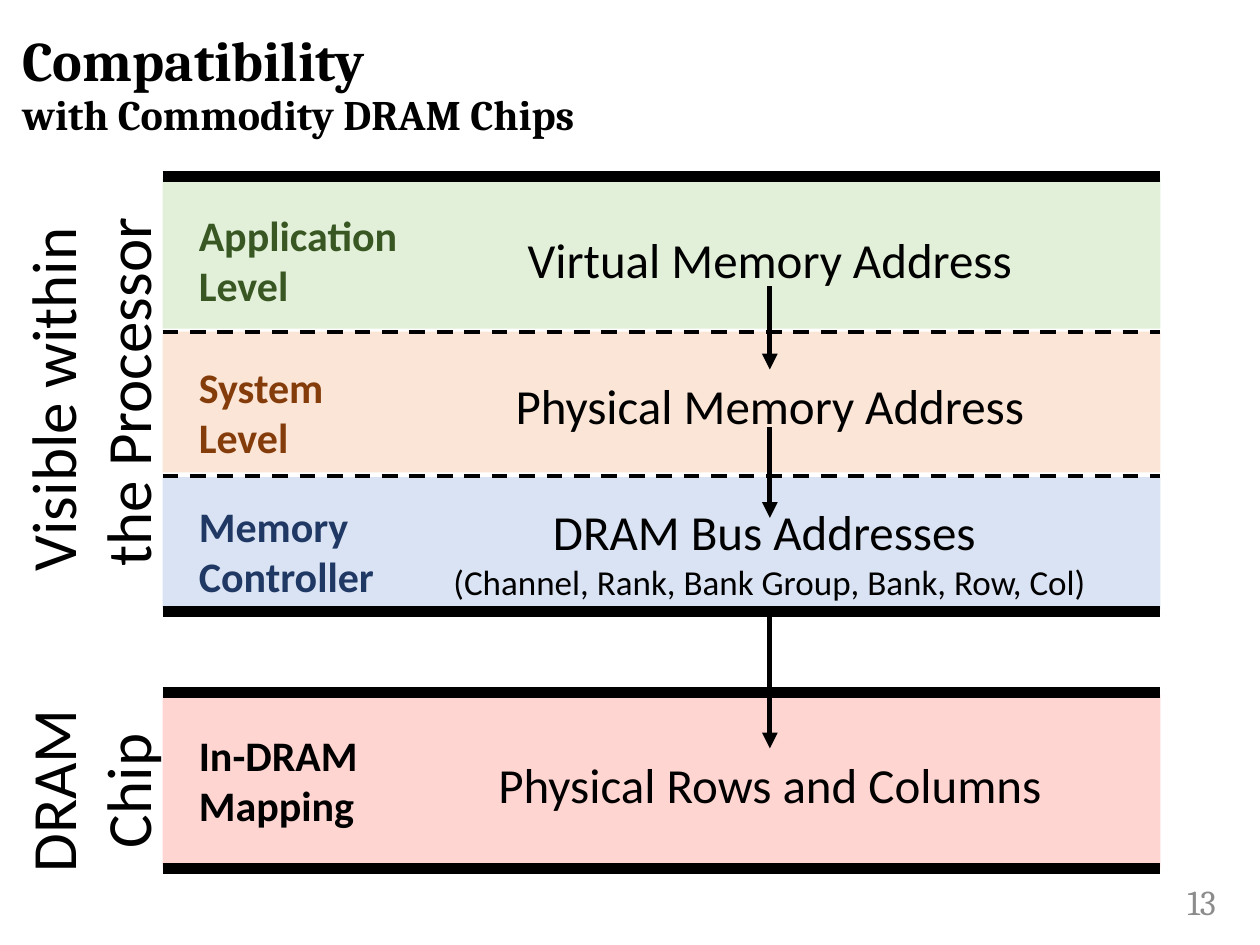
from dataclasses import dataclass

from lxml import etree
from pptx import Presentation
from pptx import util as u
from pptx.dml.color import RGBColor
from pptx.enum import dml, shapes, text
from pptx.oxml import ns


@dataclass(frozen=True)
class Theme:
    heading_font: str = "Cambria"
    body_font: str = "Calibri"
    ink: str = "000000"
    muted: str = "8C8C8C"
    title: int = 32
    subtitle: int = 24
    label: int = 24
    address: int = 28
    detail: int = 20
    side: int = 36
    page: int = 20
    border: float = 6
    divider: float = 2.25
    arrow: float = 3


THEME = Theme()
WIDTH, HEIGHT = u.Inches(10), u.Inches(7.5)

TITLE = ("Compatibility ", "with Commodity DRAM Chips")
PAGE = "13"
LEVELS = [
    dict(label=("Application", "Level"), color="385723", fill="E2F0D9",
         band=(18.8, 16), label_top=21.5,
         address=["Virtual Memory Address"], address_rows=(23.6, 6.7)),
    dict(label=("System", "Level"), color="843C0B", fill="FBE5D6",
         band=(35.1, 14.9), label_top=37.6,
         address=["Physical Memory Address"], address_rows=(39.1, 6.1)),
    dict(label=("Memory", "Controller"), color="203864", fill="DAE3F3",
         band=(50.5, 14), label_top=52.3,
         address=["DRAM Bus Addresses ",
                  "(Channel, Rank, Bank Group, Bank, Row, Col)"],
         address_rows=(52.4, 12.1)),
    dict(label=("In-DRAM", "Mapping"), color=THEME.ink, fill="FFD5D2",
         band=(73.5, 18.4), label_top=76.5,
         address=["Physical Rows and Columns"], address_rows=(79.2, 7.6)),
]
SIDES = [
    (("Visible within ", "the Processor"), 41.5, 34.4),
    (("DRAM", "Chip"), 83.7, 16.2),
]
BORDERS = (18.7, 64.7, 73.3, 91.9)
DIVIDERS = (35.1, 50.4)
BAND_LEFT, BAND_WIDTH = 12.9, 79.2
LABEL_LEFT, LABEL_WIDTH, LABEL_HEIGHT = 14.8, 18, 10.5
ADDRESS_CENTER, ADDRESS_WIDTH = 61.1, 53.6
SIDE_CENTER, SIDE_DEPTH = 7.1, 13.1
CONTROLLER_ARROW_END = 54.8


def across(share):
    return round(WIDTH * share / 100)


def down(share):
    return round(HEIGHT * share / 100)


def frame(left, top, width, height):
    return across(left), down(top), across(width), down(height)


def add_run(paragraph, words, size, color, font, bold):
    run = paragraph.add_run()
    run.text = words
    run.font.size = u.Pt(size)
    run.font.name = font
    run.font.bold = bold
    run.font.color.rgb = RGBColor.from_string(color)


def add_text(slide, box, lines, color=THEME.ink, font=THEME.body_font, bold=False,
             align=text.PP_ALIGN.LEFT, anchor=text.MSO_ANCHOR.TOP):
    shape = slide.shapes.add_textbox(*box)
    text_frame = shape.text_frame
    text_frame.word_wrap = True
    text_frame.vertical_anchor = anchor
    for index, (words, size) in enumerate(lines):
        paragraph = text_frame.add_paragraph() if index else text_frame.paragraphs[0]
        paragraph.alignment = align
        add_run(paragraph, words, size, color, font, bold)
    return shape


def add_line(slide, start, end, width, dashed=False, arrow=False):
    line = slide.shapes.add_connector(shapes.MSO_CONNECTOR.STRAIGHT, *start, *end)
    line.line.color.rgb = RGBColor.from_string(THEME.ink)
    line.line.width = u.Pt(width)
    if dashed:
        line.line.dash_style = dml.MSO_LINE.DASH
    if arrow:
        outline = line.line._get_or_add_ln()
        etree.SubElement(outline, ns.qn("a:tailEnd"), type="triangle")
    etree.SubElement(line._element.spPr, ns.qn("a:effectLst"))
    return line


def add_title(slide):
    shape = slide.shapes.add_textbox(*frame(0.8, 0.8, 75.6, 16.7))
    shape.text_frame.word_wrap = True
    shape.text_frame.vertical_anchor = text.MSO_ANCHOR.MIDDLE
    paragraph = shape.text_frame.paragraphs[0]
    paragraph.line_spacing = 0.9
    paragraph.space_after = u.Pt(6)
    heading, subheading = TITLE
    add_run(paragraph, heading, THEME.title, THEME.ink, THEME.heading_font, True)
    paragraph.add_line_break()
    add_run(paragraph, subheading, THEME.subtitle, THEME.ink, THEME.heading_font, True)


def add_level(slide, level):
    top, height = level["band"]
    band = slide.shapes.add_shape(shapes.MSO_SHAPE.RECTANGLE,
                                  *frame(BAND_LEFT, top, BAND_WIDTH, height))
    band.shadow.inherit = False
    band.fill.solid()
    band.fill.fore_color.rgb = RGBColor.from_string(level["fill"])
    band.line.fill.background()
    add_text(slide, frame(LABEL_LEFT, level["label_top"], LABEL_WIDTH, LABEL_HEIGHT),
             [(words, THEME.label) for words in level["label"]],
             color=level["color"], bold=True)
    top, height = level["address_rows"]
    left = ADDRESS_CENTER - ADDRESS_WIDTH / 2
    return add_text(slide, frame(left, top, ADDRESS_WIDTH, height),
                    list(zip(level["address"], (THEME.address, THEME.detail))),
                    align=text.PP_ALIGN.CENTER)


def add_rules(slide):
    left, right = across(BAND_LEFT), across(BAND_LEFT + BAND_WIDTH)
    for row in DIVIDERS:
        add_line(slide, (left, down(row)), (right, down(row)), THEME.divider, dashed=True)
    for row in BORDERS:
        add_line(slide, (left, down(row)), (right, down(row)), THEME.border)


def add_arrows(slide, addresses):
    controller = addresses[2]
    for source, target in zip(addresses, addresses[1:]):
        end = across(ADDRESS_CENTER), down(CONTROLLER_ARROW_END)
        arrow = add_line(slide, end, end, THEME.arrow, arrow=True)
        arrow.begin_connect(source, 2)
        if target is not controller:
            arrow.end_connect(target, 0)


def add_side(slide, lines, center, length):
    width, height = across(length), across(SIDE_DEPTH)
    box = across(SIDE_CENTER) - width // 2, down(center) - height // 2, width, height
    shape = add_text(slide, box, [(words, THEME.side) for words in lines],
                     align=text.PP_ALIGN.CENTER)
    shape.rotation = 270


def main():
    presentation = Presentation()
    presentation.slide_width, presentation.slide_height = WIDTH, HEIGHT
    slide = presentation.slides.add_slide(presentation.slide_layouts[6])
    add_text(slide, frame(86.7, 92.7, 10.8, 5.3), [(PAGE, THEME.page)],
             color=THEME.muted, font=THEME.heading_font,
             align=text.PP_ALIGN.RIGHT, anchor=text.MSO_ANCHOR.MIDDLE)
    add_title(slide)
    addresses = [add_level(slide, level) for level in LEVELS]
    add_rules(slide)
    add_arrows(slide, addresses)
    for side in SIDES:
        add_side(slide, *side)
    presentation.save("out.pptx")


if __name__ == "__main__":
    main()
